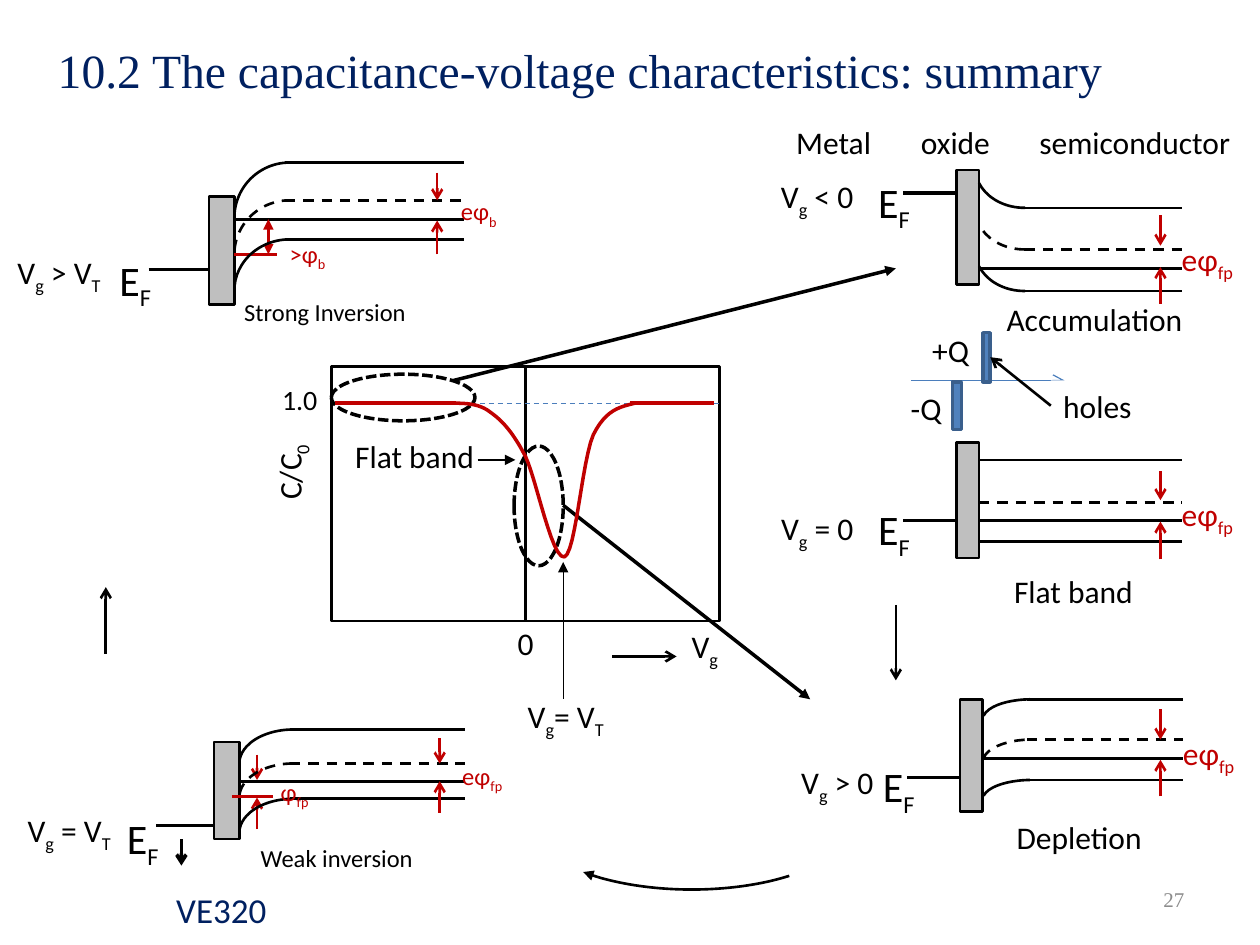
"""Build a slide that sums up capacitance-voltage characteristics with band diagrams."""
from lxml.etree import SubElement
from pptx import Presentation
from pptx.dml.color import RGBColor
from pptx.enum.dml import MSO_LINE
from pptx.enum.shapes import MSO_CONNECTOR, MSO_SHAPE
from pptx.enum.text import MSO_ANCHOR, PP_ALIGN
from pptx.oxml.ns import qn
from pptx.util import Inches, Pt

BLACK, RED, NAVY, BLUE = "000000", "C00000", "002060", "4B7EBC"
DASH = MSO_LINE.DASH


def add_text(shapes, text, left, top, width, height=0.4, size=18, color=BLACK, font="Calibri",
             align=PP_ALIGN.LEFT, anchor=MSO_ANCHOR.TOP, fill=None, rotation=0, tabs=()):
    """Add a text box in which every second part between bars is a subscript."""
    box = shapes.add_textbox(Inches(left), Inches(top), Inches(width), Inches(height))
    box.rotation = rotation
    if fill:
        box.fill.solid()
        box.fill.fore_color.rgb = RGBColor.from_string(fill)
    frame = box.text_frame
    frame.word_wrap = True
    frame.margin_right = 0
    frame.vertical_anchor = anchor
    para = frame.paragraphs[0]
    para.alignment = align
    if tabs:
        stops = SubElement(para._p.get_or_add_pPr(), qn("a:tabLst"))
        for position in tabs:
            SubElement(stops, qn("a:tab"), pos=str(Inches(position)), algn="l")
    for index, part in enumerate(text.split("|")):
        if part:
            span = para.add_run()
            span.text = part
            span.font.name = font
            span.font.size = Pt(size)
            span.font.color.rgb = RGBColor.from_string(color)
            if index % 2:
                span._r.get_or_add_rPr().set("baseline", "-25000")
    return box


def outline(shape, color=BLACK, width=1.5, dash=None, head=None, tail=None):
    """Style the line of a shape or connector and take its shadow away."""
    shape.line.color.rgb = RGBColor.from_string(color)
    shape.line.width = Pt(width)
    if dash:
        shape.line.dash_style = dash
    for tag, kind in (("a:headEnd", head), ("a:tailEnd", tail)):
        if kind:
            SubElement(shape.line._get_or_add_ln(), qn(tag), type=kind)
    SubElement(shape._element.spPr, qn("a:effectLst"))


deck = Presentation()
deck.slide_width, deck.slide_height = Inches(10), Inches(7.5)
page = deck.slides.add_slide(deck.slide_layouts[6])

add_text(page.shapes, "VE320", 1.3, 7, 0.98, 0.44, size=20, color=NAVY, fill="FFFFFF")
add_text(page.shapes, "27", 7.17, 6.94, 2.23, size=12, color="8C8C8C", font="Times New Roman",
         align=PP_ALIGN.RIGHT, anchor=MSO_ANCHOR.MIDDLE)
add_text(page.shapes, "10.2 The capacitance-voltage characteristics: summary", 0.36, 0.13, 9, 0.85,
         size=27.2, color=NAVY, font="Times New Roman", anchor=MSO_ANCHOR.MIDDLE)
add_text(page.shapes, "Metal\toxide\tsemiconductor", 6.22, 0.93, 3.78, tabs=(0.99, 1.93))

UP, DOWN = (184.55, 266.16), (89, 161.05)
bands = [
    dict(gate=(7.59, 3.51, 0.18, 0.92), start=7.77, end=9.38, levels=(3.65, 3.99, 4.3), fermi=4.13,
         bend=None, marker=(9.21, 3.74, 3.97, 4.44, 4.14), metal=(7.17, 4.13), size=18,
         gap=("eφ|fp", 9.28, 3.88, 0.72), energy=(6.87, 3.95, 0.48),
         state=("Flat band", 7.95, 4.49, 1.33), bias=("V|g| = 0", 6.1, 3.99, 0.85)),
    dict(gate=(7.62, 5.55, 0.18, 0.89), start=8.15, end=9.39, levels=(5.55, 5.87, 6.19), fermi=6.02,
         bend=(7.8, 0.77, (0.32, 0.36, 0.31), UP), marker=(9.21, 5.63, 5.87, 6.32, 6.03),
         metal=(7.2, 6.17), size=18, gap=("eφ|fp", 9.29, 5.78, 0.71), energy=(6.91, 5.99, 0.47),
         state=("Depletion", 7.97, 6.44, 1.31), bias=("V|g| > 0", 6.26, 6.01, 0.85)),
    dict(gate=(1.7, 5.89, 0.2, 0.77), start=2.3, end=3.69, levels=(5.79, 6.06, 6.34), fermi=6.2,
         bend=(1.9, 0.86, (0.54, 0.54, 0.54), UP), marker=(3.49, 5.86, 6.06, 6.45, 6.2),
         metal=(1.24, 6.55), size=14, gap=("eφ|fp", 3.57, 5.99, 0.58), energy=(0.91, 6.4, 0.53),
         state=("Weak inversion", 1.97, 6.64, 1.52), bias=("V|g| = V|T", 0.12, 6.39, 0.88),
         inner=("φ|fp", 2.13, 6.12, 0.44),
         extra=[(1.84, 6.32, 2.17, 6.32, dict(color=RED)),
                (2.04, 5.99, 2.04, 6.19, dict(color=RED, tail="arrow")),
                (2.04, 6.58, 2.04, 6.33, dict(color=RED, tail="arrow")),
                (1.44, 6.66, 1.44, 6.87, dict(width=2, tail="arrow"))]),
    dict(gate=(7.59, 1.35, 0.18, 0.91), start=8.13, end=9.38, levels=(1.65, 1.98, 2.31), fermi=2.13,
         bend=(7.74, 0.78, (0.64, 0.64, 0.64), DOWN), marker=(9.21, 1.71, 1.95, 2.41, 2.12),
         metal=(7.17, 1.53), size=18, gap=("eφ|fp", 9.28, 1.86, 0.72), energy=(6.87, 1.35, 0.48),
         state=("Accumulation", 7.89, 2.33, 1.66), bias=("V|g| < 0", 6.1, 1.36, 0.8)),
    dict(gate=(1.66, 1.56, 0.2, 0.86), start=2.26, end=3.68, levels=(1.29, 1.59, 1.9), fermi=1.74,
         bend=(1.86, 0.88, (0.88, 0.86, 0.81), UP), marker=(3.47, 1.37, 1.59, 2.02, 1.75),
         metal=(1.18, 2.14), size=14, gap=("eφ|b", 3.56, 1.51, 0.6), energy=(0.85, 1.97, 0.54),
         state=("Strong Inversion", 1.84, 2.31, 1.64), bias=("V|g| > V|T", 0.04, 1.96, 0.88),
         inner=(">φ|b", 2.2, 1.85, 0.55),
         extra=[(1.86, 2.02, 2.2, 2.02, dict(color=RED)),
                (2.13, 2.02, 2.13, 1.74, dict(color=RED, head="triangle", tail="triangle"))]),
]
for band in bands:
    shapes = page.shapes.add_group_shape().shapes
    left, top, width, height = band["gate"]
    gate = shapes.add_shape(MSO_SHAPE.RECTANGLE, *map(Inches, band["gate"]))
    outline(gate)
    gate.fill.solid()
    gate.fill.fore_color.rgb = RGBColor.from_string("BFBFBF")

    start, end, fermi = band["start"], band["end"], band["fermi"]
    x, upper, upper_tip, lower, lower_tip = band["marker"]
    metal_x, metal_y = band["metal"]
    dashes = (None, DASH, None)
    strokes = [(start, y, end, y, dict(dash=dash)) for y, dash in zip(band["levels"], dashes)]
    strokes += [(left + width, fermi, end, fermi, {}),
                (x, upper, x, upper_tip, dict(color=RED, tail="arrow")),
                (x, lower, x, lower_tip, dict(color=RED, tail="arrow")),
                (metal_x, metal_y, left, metal_y, dict(width=2))] + band.get("extra", [])
    for *ends, style in strokes:
        outline(shapes.add_connector(MSO_CONNECTOR.STRAIGHT, *map(Inches, ends)), **style)

    if band["bend"]:
        bend_left, bend_width, bend_heights, angles = band["bend"]
        for y, bend_height, dash in zip(band["levels"], bend_heights, dashes):
            bend_top = y if angles == UP else y - bend_height
            arc = shapes.add_shape(MSO_SHAPE.ARC, Inches(bend_left), Inches(bend_top),
                                   Inches(bend_width), Inches(bend_height))
            arc.adjustments[0], arc.adjustments[1] = [angle * 0.6 for angle in angles]
            arc.fill.background()
            outline(arc, dash=dash)

    add_text(shapes, *band["gap"], size=band["size"], color=RED)
    add_text(shapes, "E|F", *band["energy"], size=24)
    add_text(shapes, *band["state"], size=band["size"])
    add_text(shapes, *band["bias"])
    if "inner" in band:
        add_text(shapes, *band["inner"], size=band["size"], color=RED)

sweep = page.shapes.add_shape(MSO_SHAPE.ARC, Inches(4.24), Inches(6.05), Inches(2.5), Inches(1.01))
sweep.adjustments[0], sweep.adjustments[1] = 27.11 * 0.6, 156.98 * 0.6
sweep.fill.background()
outline(sweep, tail="triangle")

for kind, *bounds, style in [
    (MSO_SHAPE.RECTANGLE, 2.63, 2.91, 1.54, 2.02, {}),
    (MSO_SHAPE.RECTANGLE, 4.17, 2.91, 1.54, 2.02, {}),
    (MSO_SHAPE.OVAL, 2.63, 2.97, 1.14, 0.37, dict(width=2, dash=MSO_LINE.SQUARE_DOT)),
    (MSO_SHAPE.OVAL, 4.08, 3.54, 0.39, 0.95, dict(width=2, dash=MSO_LINE.SQUARE_DOT)),
]:
    region = page.shapes.add_shape(kind, *map(Inches, bounds))
    region.fill.background()
    outline(region, **style)

for *ends, style in [
    (0.84, 5.19, 0.84, 4.66, dict(tail="arrow")),
    (7.11, 4.8, 7.11, 5.4, dict(tail="arrow")),
    (4.86, 5.21, 5.37, 5.21, dict(tail="arrow")),
    (2.66, 3.2, 5.71, 3.2, dict(color=BLUE, width=0.75, dash=DASH)),
    (2.66, 3.2, 3.62, 3.2, dict(color=RED, width=2)),
    (5, 3.2, 5.67, 3.2, dict(color=RED, width=2)),
    (3.79, 3.65, 4.09, 3.65, dict(width=0.75, tail="triangle")),
    (4.47, 4.46, 4.47, 5.55, dict(width=0.75, head="triangle")),
    (3.6, 3.02, 7.11, 2.13, dict(width=2, tail="triangle")),
    (4.47, 4.01, 6.43, 5.55, dict(width=2, tail="triangle")),
]:
    outline(page.shapes.add_connector(MSO_CONNECTOR.STRAIGHT, *map(Inches, ends)), **style)

knots = [(3.58, 3.2), (3.69, 3.2), (3.8, 3.2), (3.89, 3.27), (3.99, 3.34), (4.07, 3.43),
         (4.17, 3.62), (4.26, 3.81), (4.38, 4.44), (4.48, 4.42), (4.57, 4.39), (4.62, 3.65),
         (4.71, 3.45), (4.81, 3.25), (4.92, 3.23), (5.04, 3.2)]
curve_points = []
for first in range(0, len(knots) - 1, 3):
    for step in range(1, 13):
        t = step / 12
        weights = ((1 - t) ** 3, 3 * t * (1 - t) ** 2, 3 * t ** 2 * (1 - t), t ** 3)
        curve_points.append([Inches(sum(weight * knot[axis] for weight, knot
                                        in zip(weights, knots[first:first + 4]))) for axis in (0, 1)])
builder = page.shapes.build_freeform(*map(Inches, knots[0]))
builder.add_line_segments(curve_points, close=False)
curve = builder.convert_to_shape()
curve.fill.background()
outline(curve, color=RED, width=2)

for text, left, top, width, style in [
    ("V|g", 5.39, 4.93, 0.47, {}),
    ("C/C|0", 1.88, 3.45, 0.83, dict(rotation=270)),
    ("1.0", 2.14, 2.99, 0.73, dict(size=16)),
    ("0", 4.01, 4.9, 0.71, {}),
    ("Flat band", 2.72, 3.42, 1.29, {}),
    ("V|g|= V|T", 4.09, 5.48, 0.96, {}),
    ("+Q", 7.3, 2.58, 0.59, {}),
    ("-Q", 7.13, 3.04, 0.57, {}),
]:
    add_text(page.shapes, text, left, top, width, **style)

shapes = page.shapes.add_group_shape().shapes
axis_line = shapes.add_connector(MSO_CONNECTOR.STRAIGHT, Inches(7.23), Inches(3.02),
                                 Inches(8.45), Inches(3.02))
outline(axis_line, color=BLUE, width=0.75, tail="arrow")
for bounds in ((7.56, 3.03, 0.07, 0.38), (7.8, 2.64, 0.06, 0.39)):
    charge = shapes.add_shape(MSO_SHAPE.RECTANGLE, *map(Inches, bounds))
    outline(charge, color="3A5F8C", width=2)
    charge.fill.solid()
    charge.fill.fore_color.rgb = RGBColor.from_string("4F81BD")
holes = add_text(shapes, "holes", 8.34, 3.02, 0.86, fill="FFFFFF")
pointer = shapes.add_connector(MSO_CONNECTOR.STRAIGHT, Inches(8.34), Inches(3.22),
                               Inches(7.86), Inches(2.83))
pointer.begin_connect(holes, 1)
pointer.end_connect(charge, 3)
outline(pointer, tail="arrow")

deck.save("out.pptx")
